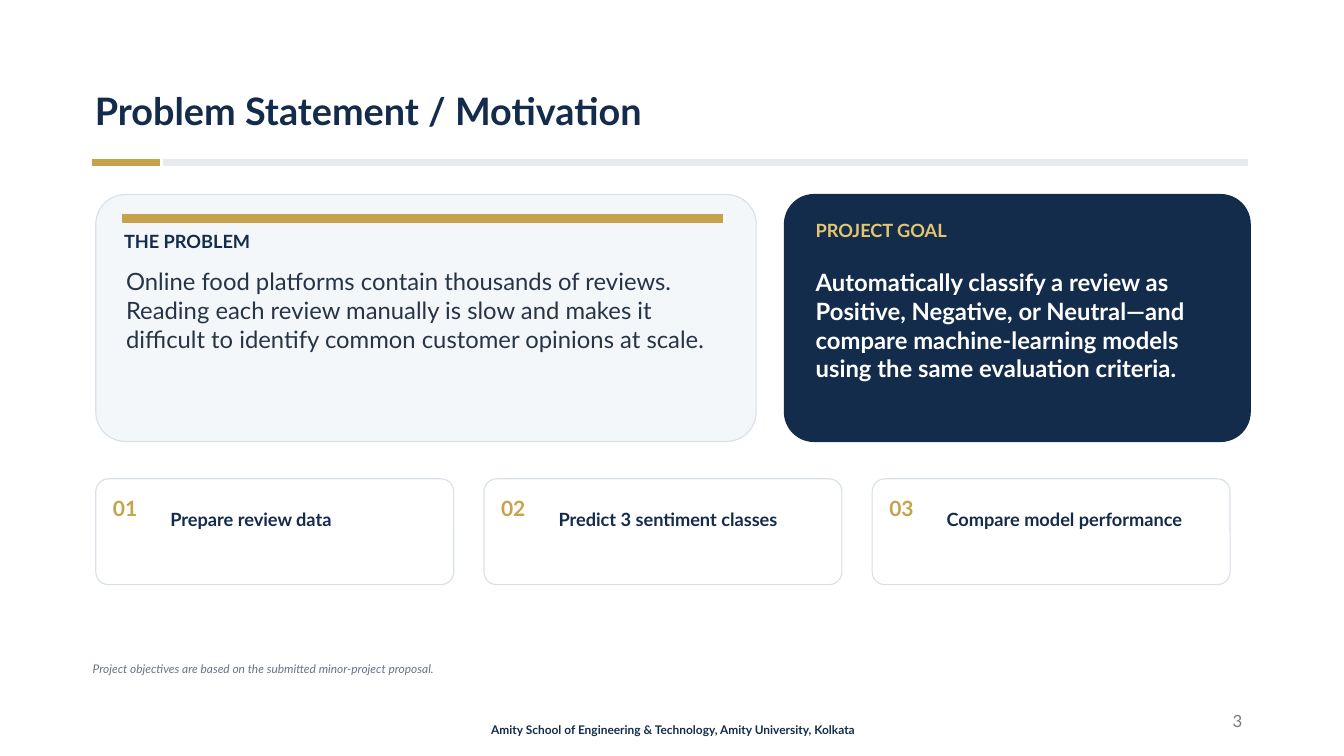
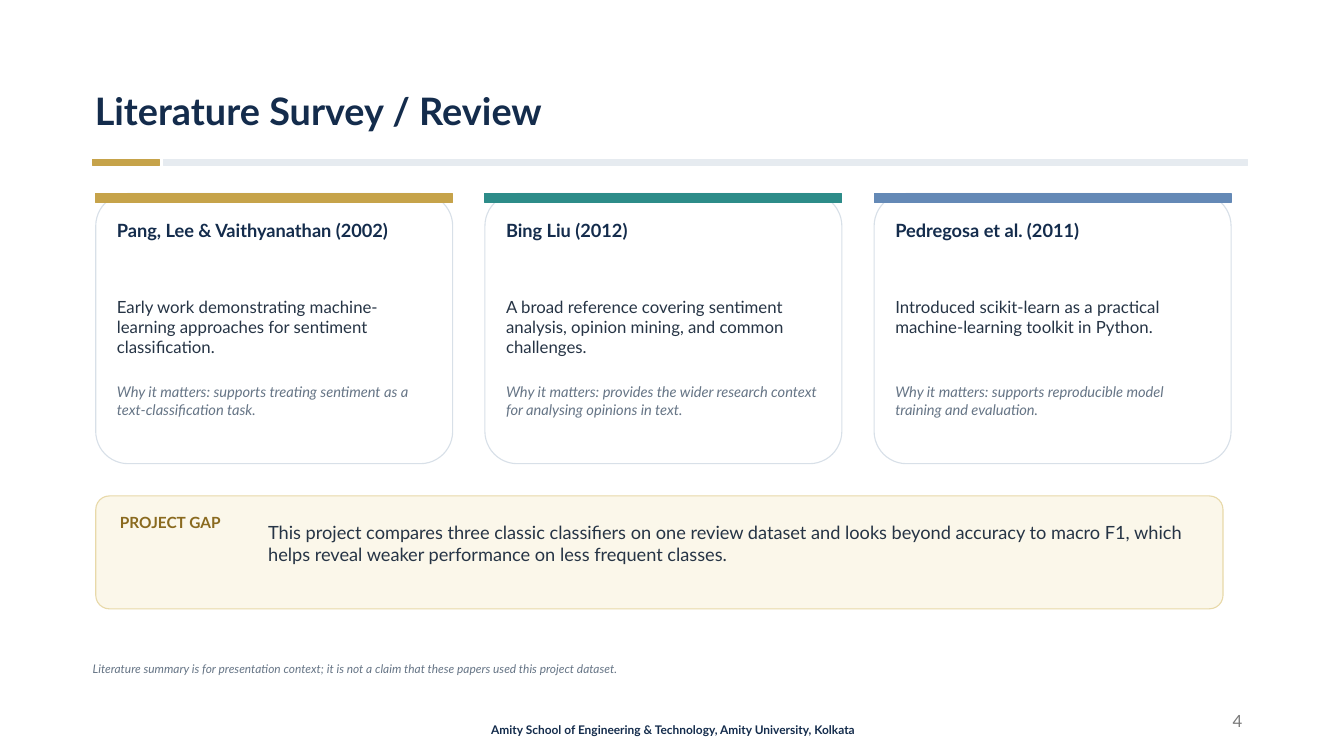
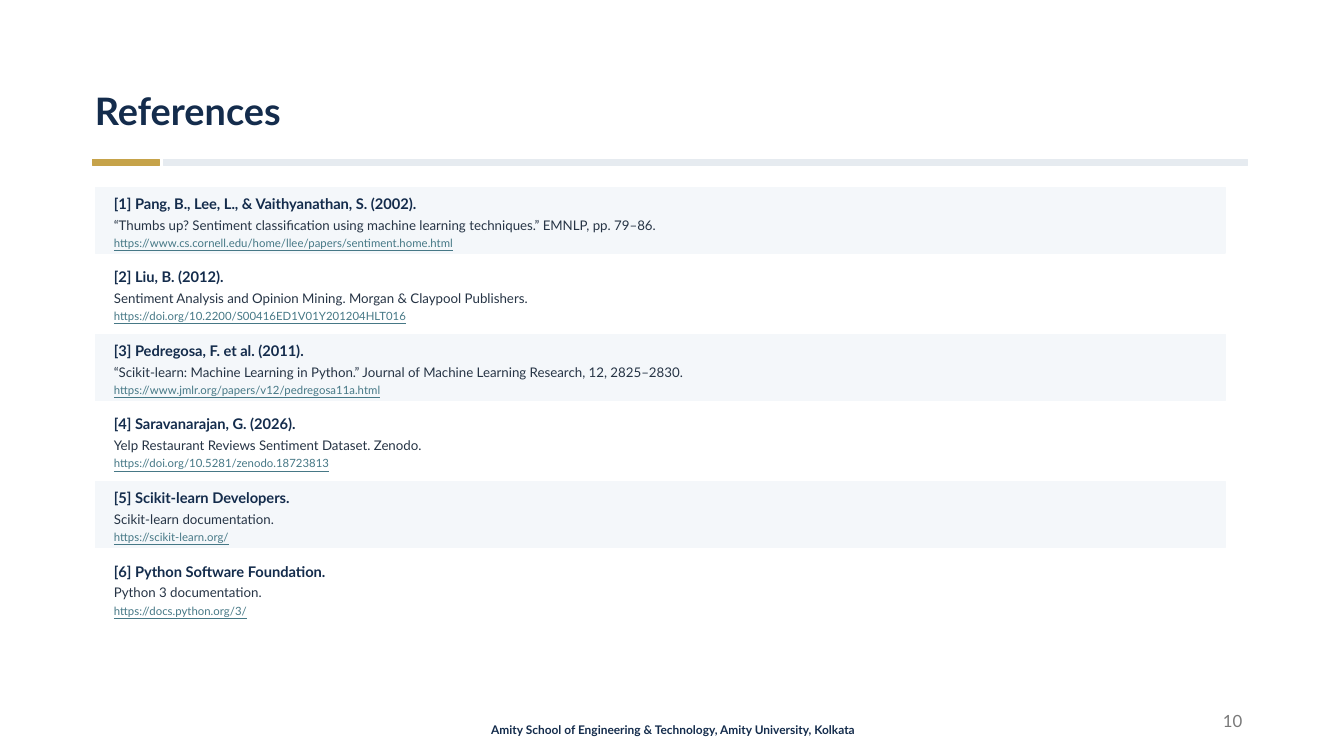
from pptx import Presentation
from pptx.dml.color import RGBColor
from pptx.enum.shapes import MSO_SHAPE as SHAPE
from pptx.enum.text import MSO_ANCHOR as ANCHOR, MSO_AUTO_SIZE as AUTO, PP_ALIGN as ALIGN
from pptx.util import Inches, Pt

FONT = "Lato"
COLORS = {
    "navy": "142C4C", "gold": "C6A34A", "light_gold": "E4C66F", "dark_gold": "8A6A1F",
    "teal": "2D8C89", "blue": "6489B6", "ink": "263445", "muted": "667586",
    "link": "467886", "number": "797979", "rule": "E6EBF0", "border": "D8E0E8",
    "panel": "F4F7FA", "cream": "FBF7EA", "cream_border": "E8D9A9", "white": "FFFFFF",
}
FOOTER = "Amity School of Engineering & Technology, Amity University, Kolkata"
LEFT = 0.95

PROBLEM = ("Online food platforms contain thousands of reviews. Reading each review manually "
           "is slow and makes it difficult to identify common customer opinions at scale.")
GOAL = ("Automatically classify a review as Positive, Negative, or Neutral—and compare "
        "machine-learning models using the same evaluation criteria.")
STEPS = ["Prepare review data", "Predict 3 sentiment classes", "Compare model performance"]
OBJECTIVES_NOTE = "Project objectives are based on the submitted minor-project proposal."

PAPERS = [
    ("gold", "Pang, Lee & Vaithyanathan (2002)",
     "Early work demonstrating machine-learning approaches for sentiment classification.",
     "Why it matters: supports treating sentiment as a text-classification task."),
    ("teal", "Bing Liu (2012)",
     "A broad reference covering sentiment analysis, opinion mining, and common challenges.",
     "Why it matters: provides the wider research context for analysing opinions in text."),
    ("blue", "Pedregosa et al. (2011)",
     "Introduced scikit-learn as a practical machine-learning toolkit in Python.",
     "Why it matters: supports reproducible model training and evaluation."),
]
GAP = ("This project compares three classic classifiers on one review dataset and looks beyond "
       "accuracy to macro F1, which helps reveal weaker performance on less frequent classes.")
LITERATURE_NOTE = ("Literature summary is for presentation context; it is not a claim that these "
                   "papers used this project dataset.")

REFERENCES = [
    ("Pang, B., Lee, L., & Vaithyanathan, S. (2002).",
     "“Thumbs up? Sentiment classification using machine learning techniques.” EMNLP, pp. 79–86.",
     "https://www.cs.cornell.edu/home/llee/papers/sentiment.home.html"),
    ("Liu, B. (2012).",
     "Sentiment Analysis and Opinion Mining. Morgan & Claypool Publishers.",
     "https://doi.org/10.2200/S00416ED1V01Y201204HLT016"),
    ("Pedregosa, F. et al. (2011).",
     "“Scikit-learn: Machine Learning in Python.” Journal of Machine Learning Research, 12, 2825–2830.",
     "https://www.jmlr.org/papers/v12/pedregosa11a.html"),
    ("Saravanarajan, G. (2026).",
     "Yelp Restaurant Reviews Sentiment Dataset. Zenodo.",
     "https://doi.org/10.5281/zenodo.18723813"),
    ("Scikit-learn Developers.", "Scikit-learn documentation.", "https://scikit-learn.org/"),
    ("Python Software Foundation.", "Python 3 documentation.", "https://docs.python.org/3/"),
]


def rgb(name):
    return RGBColor.from_string(COLORS[name])


def add_text(s, text, x, y, w, h, size=13, color="navy", bold=False, italic=False,
             underline=False, align=ALIGN.LEFT, anchor=ANCHOR.TOP, inset=0.01,
             after=3, spacing=None, auto=AUTO.SHAPE_TO_FIT_TEXT):
    tf = s.shapes.add_textbox(Inches(x), Inches(y), Inches(w), Inches(h)).text_frame
    tf.word_wrap = True
    tf.auto_size = auto
    tf.vertical_anchor = anchor
    tf.margin_left = tf.margin_right = tf.margin_top = tf.margin_bottom = Inches(inset)
    p = tf.paragraphs[0]
    p.alignment = align
    p.space_after = Pt(after)
    if spacing:
        p.line_spacing = spacing
    r = p.add_run()
    r.text = text
    r.font.name, r.font.size, r.font.color.rgb = FONT, Pt(size), rgb(color)
    r.font.bold, r.font.italic, r.font.underline = bold, italic, underline


def add_box(s, x, y, w, h, fill, line=None, rounded=False):
    kind = SHAPE.ROUNDED_RECTANGLE if rounded else SHAPE.RECTANGLE
    sp = s.shapes.add_shape(kind, Inches(x), Inches(y), Inches(w), Inches(h))
    if rounded:
        sp.adjustments[0] = 0.12
    sp.shadow.inherit = False
    sp.fill.solid()
    sp.fill.fore_color.rgb = rgb(fill)
    sp.line.color.rgb = rgb(line or fill)
    sp.line.width = Pt(0.8)


def add_slide(prs, title, number, note=None):
    s = prs.slides.add_slide(prs.slide_layouts[6])
    add_text(s, title, 0.92, 0.4, 11.5, 1.45, size=27, bold=True, anchor=ANCHOR.MIDDLE,
             inset=0.02, spacing=0.9, auto=AUTO.NONE)
    add_text(s, str(number), 9.42, 6.95, 2.9 + 0.1, 0.4, size=12, color="number",
             align=ALIGN.RIGHT, anchor=ANCHOR.MIDDLE, inset=0.1, after=0, auto=AUTO.NONE)
    add_text(s, FOOTER, 2.2, 7.13, 8.95, 0.22, size=8.5, bold=True, align=ALIGN.CENTER,
             anchor=ANCHOR.MIDDLE, inset=0)
    add_box(s, 0.92, 1.58, 0.66, 0.06, "gold")
    add_box(s, 1.62, 1.58, 10.75, 0.06, "rule")
    if note:
        add_text(s, note, 0.92, 6.56, 11.3, 0.22, size=8.5, color="muted", italic=True, inset=0)
    return s


def problem_slide(prs):
    s = add_slide(prs, "Problem Statement / Motivation", 3, OBJECTIVES_NOTE)
    add_box(s, LEFT, 1.93, 6.55, 2.45, "panel", "border", rounded=True)
    add_box(s, 1.22, 2.13, 5.95, 0.08, "gold")
    add_text(s, "THE PROBLEM", 1.22, 2.27, 5.95, 0.32, bold=True)
    add_text(s, PROBLEM, 1.22, 2.62, 5.88, 1.28, size=17, color="ink", inset=0.03)
    add_box(s, 7.78, 1.93, 4.62, 2.45, "navy", rounded=True)
    add_text(s, "PROJECT GOAL", 8.08, 2.17, 4, 0.36, color="light_gold", bold=True)
    add_text(s, GOAL, 8.08, 2.65, 4, 1.2, size=17, color="white", bold=True)
    for i, step in enumerate(STEPS):
        x = LEFT + i * 3.85
        add_box(s, x, 4.75, 3.55, 1.05, "white", "border", rounded=True)
        add_text(s, f"{i + 1:02}", x + 0.16, 4.91, 0.48, 0.4, size=15, color="gold", bold=True)
        add_text(s, step, x + 0.73, 4.89, 2.6, 0.52, bold=True, anchor=ANCHOR.MIDDLE)


def literature_slide(prs):
    s = add_slide(prs, "Literature Survey / Review", 4, LITERATURE_NOTE)
    for i, (accent, authors, summary, reason) in enumerate(PAPERS):
        x = LEFT + i * 3.86
        add_box(s, x, 1.92, 3.54, 2.68, "white", "border", rounded=True)
        add_box(s, x, 1.92, 3.54, 0.09, accent)
        add_text(s, authors, x + 0.2, 2.17, 3.14, 0.65, bold=True)
        add_text(s, summary, x + 0.2, 2.93, 3.14, 0.78, size=12, color="ink")
        add_text(s, reason, x + 0.2, 3.79, 3.14, 0.66, size=10.5, color="muted", italic=True)
    add_box(s, LEFT, 4.92, 11.18, 1.12, "cream", "cream_border", rounded=True)
    add_text(s, "PROJECT GAP", 1.18, 5.08, 1.53, 0.34, size=11, color="dark_gold", bold=True)
    add_text(s, GAP, 2.65, 5.07, 9.15, 0.64, color="ink", anchor=ANCHOR.MIDDLE)


def references_slide(prs):
    s = add_slide(prs, "References", 10)
    for i, (authors, work, url) in enumerate(REFERENCES):
        y = 1.86 + i * 0.73
        if i % 2 == 0:
            add_box(s, LEFT, y, 11.2, 0.65, "panel")
        add_text(s, f"[{i + 1}] {authors}", 1.12, y + 0.06, 10.86, 0.21, size=10.5, bold=True)
        add_text(s, work, 1.12, y + 0.28, 10.86, 0.19, size=9.5, color="ink")
        add_text(s, url, 1.12, y + 0.47, 10.86, 0.14, size=8.1, color="link", underline=True)


def main():
    prs = Presentation()
    prs.slide_width, prs.slide_height = Inches(13.33), Inches(7.5)
    problem_slide(prs)
    literature_slide(prs)
    references_slide(prs)
    prs.save("out.pptx")


if __name__ == "__main__":
    main()
